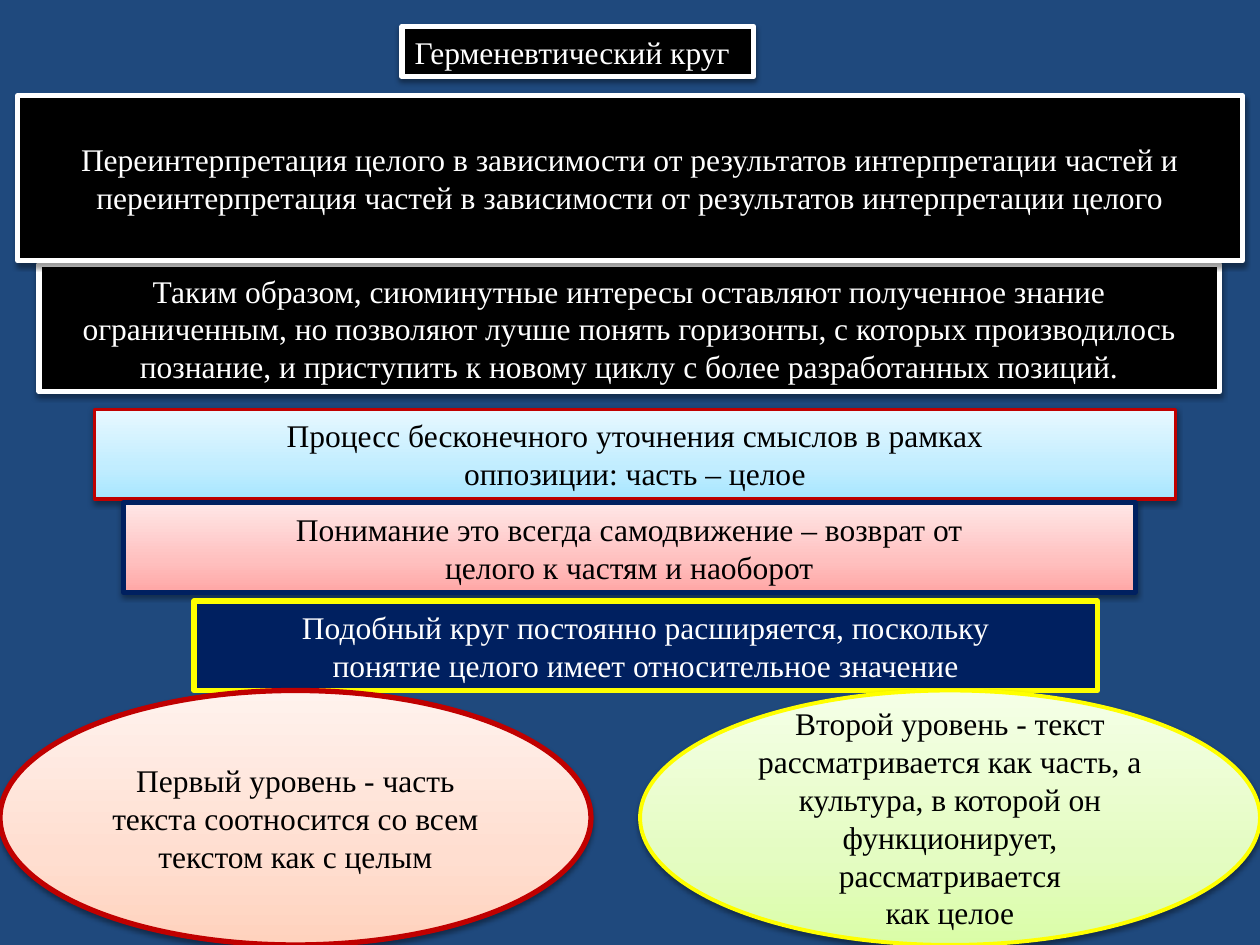
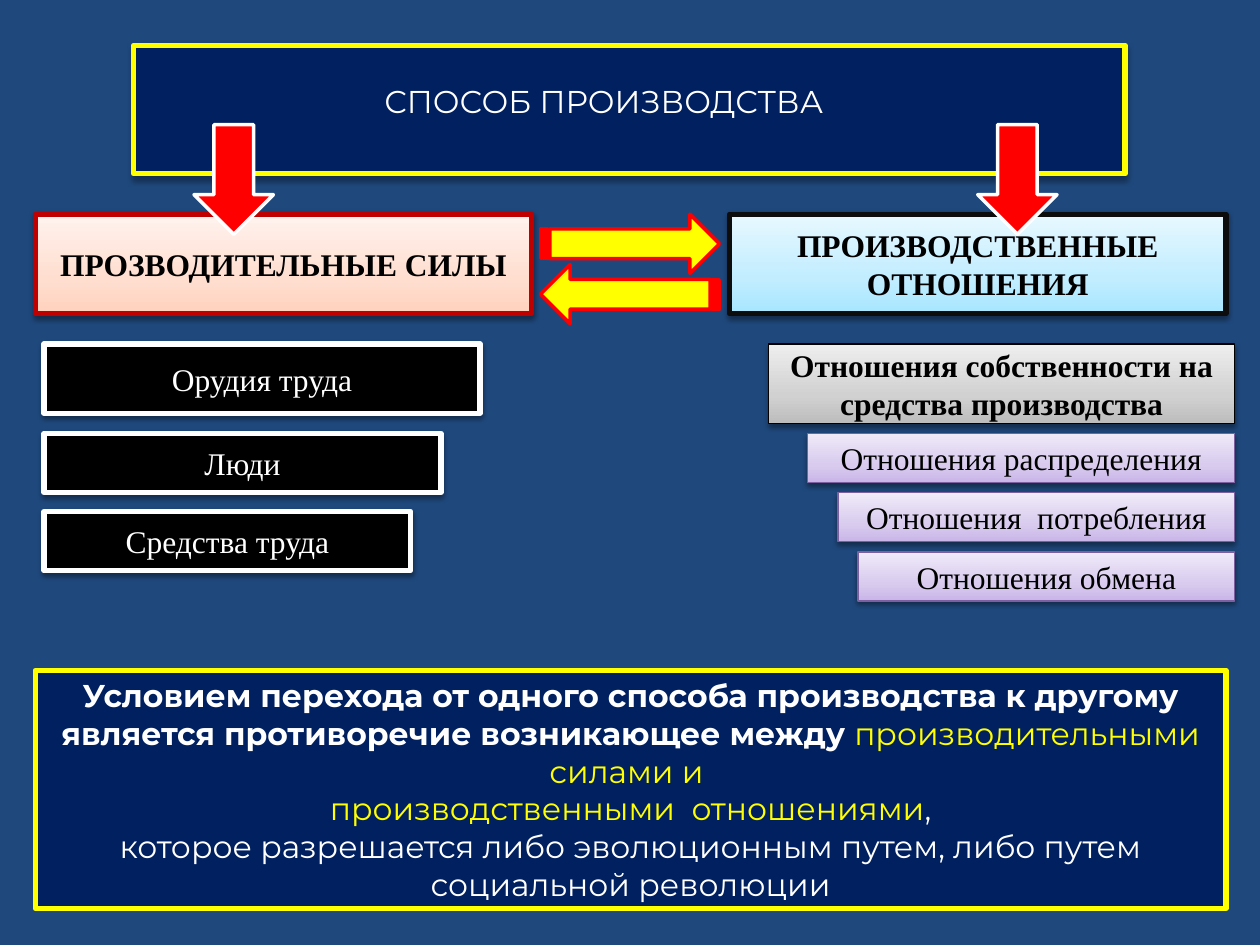
from copy import deepcopy

from lxml.etree import SubElement
from pptx import Presentation
from pptx.dml.color import RGBColor
from pptx.enum.shapes import MSO_SHAPE
from pptx.enum.text import MSO_ANCHOR, MSO_AUTO_SIZE, PP_ALIGN
from pptx.oxml.ns import qn
from pptx.util import Inches, Pt

BACKGROUND = RGBColor(0x1F, 0x49, 0x7D)
BLACK = RGBColor(0x00, 0x00, 0x00)
NEAR_BLACK = RGBColor(0x0D, 0x0D, 0x0D)
WHITE = RGBColor(0xFF, 0xFF, 0xFF)
NAVY = RGBColor(0x00, 0x20, 0x60)
YELLOW = RGBColor(0xFF, 0xFF, 0x00)
RED = RGBColor(0xFF, 0x00, 0x00)
DARK_RED = RGBColor(0xC0, 0x00, 0x00)
PURPLE = RGBColor(0x7D, 0x60, 0xA0)

# Gradients run from the bottom edge to the top edge.
GRADIENT_POSITIONS = (0, 0.35, 1)
BLUES = (RGBColor(0xA7, 0xE6, 0xFF), RGBColor(0xC1, 0xED, 0xFF), RGBColor(0xE7, 0xF8, 0xFF))
PINKS = (RGBColor(0xFF, 0xA6, 0xA5), RGBColor(0xFF, 0xC0, 0xBF), RGBColor(0xFF, 0xE7, 0xE7))
PEACHES = (RGBColor(0xFF, 0xD2, 0xBD), RGBColor(0xFF, 0xDE, 0xD0), RGBColor(0xFF, 0xF2, 0xED))
GREENS = (RGBColor(0xDA, 0xFD, 0xA7), RGBColor(0xE4, 0xFC, 0xC2), RGBColor(0xF5, 0xFF, 0xE7))
GREYS = (RGBColor(0xBD, 0xBD, 0xBD), RGBColor(0xD1, 0xD1, 0xD1), RGBColor(0xEE, 0xEE, 0xEE))
LILACS = (RGBColor(0xC9, 0xB5, 0xE8), RGBColor(0xD8, 0xCB, 0xEE), RGBColor(0xF0, 0xEA, 0xF9))

SERIF = "Times New Roman"
SANS = "Montserrat"
SOFT_SHADOW = (3.1, 1.6, 38)
DEEP_SHADOW = (3.5, 2.2, 32)


def paint(shape, fill, line, width, shadow=None):
    """Fill with one colour or a three-stop gradient; shadow is blur, distance, opacity."""
    if isinstance(fill, RGBColor):
        shape.fill.solid()
        shape.fill.fore_color.rgb = fill
    else:
        shape.fill.gradient()
        shape.fill.gradient_angle = 90
        stop_list = shape._element.spPr.find(".//" + qn("a:gsLst"))
        stop_list.insert(1, deepcopy(stop_list[0]))
        for stop, position, colour in zip(shape.fill.gradient_stops, GRADIENT_POSITIONS, fill):
            stop.position = position
            stop.color.rgb = colour
    shape.line.color.rgb = line
    shape.line.width = Pt(width)
    shape.shadow.inherit = False
    if shadow:
        blur, distance, opacity = shadow
        effects = shape._element.spPr.find(qn("a:effectLst"))
        outer = SubElement(effects, qn("a:outerShdw"), blurRad=str(Pt(blur)),
                           dist=str(Pt(distance)), dir="5400000", rotWithShape="0")
        black = SubElement(outer, qn("a:srgbClr"), val="000000")
        SubElement(black, qn("a:alpha"), val=str(opacity * 1000))


def write(shape, text, color, font=SERIF, bold=False, align=PP_ALIGN.CENTER):
    paragraph = shape.text_frame.paragraphs[0]
    paragraph.text = text
    paragraph.alignment = align
    for run in paragraph.runs:
        for name, value in {"name": font, "size": Pt(18), "bold": bold}.items():
            setattr(run.font, name, value)
        run.font.color.rgb = color


prs = Presentation()
prs.slide_width, prs.slide_height = Inches(10), Inches(7.5)
prs.slide_master.background.fill.solid()
prs.slide_master.background.fill.fore_color.rgb = BACKGROUND
title_only = prs.slide_layouts[5]
circle_slide = prs.slides.add_slide(title_only)
production_slide = prs.slides.add_slide(title_only)

# Titles
titles = [
    (circle_slide, "Герменевтический круг", SERIF, (3.19, 0.21, 2.79, 0.4),
     (BLACK, WHITE, 3, SOFT_SHADOW),
     {"word_wrap": False, "vertical_anchor": MSO_ANCHOR.TOP}),
    (production_slide, "СПОСОБ ПРОИЗВОДСТВА", SANS, (1.06, 0.36, 7.87, 1.02),
     (NAVY, YELLOW, 3, DEEP_SHADOW),
     {"word_wrap": True, "vertical_anchor": MSO_ANCHOR.TOP,
      "margin_left": Inches(1.99), "margin_top": Inches(0.29)}),
]
for slide, text, font, box, look, frame_format in titles:
    title = slide.shapes.title
    title.left, title.top, title.width, title.height = map(Inches, box)
    paint(title, *look)
    write(title, text, WHITE, font, align=PP_ALIGN.LEFT)
    title.text_frame.auto_size = MSO_AUTO_SIZE.NONE
    for name, value in frame_format.items():
        setattr(title.text_frame, name, value)

# Slide 1: the hermeneutic circle
RECT, OVAL = MSO_SHAPE.RECTANGLE, MSO_SHAPE.OVAL
theses = [
    (RECT, (0.31, 2.1, 9.37, 1.01), (BLACK, WHITE, 3, SOFT_SHADOW), WHITE,
     "Таким образом, сиюминутные интересы оставляют полученное знание ограниченным, "
     "но позволяют лучше понять горизонты, с которых производилось познание, "
     "и приступить к новому циклу с более разработанных позиций."),
    (RECT, (0.14, 0.76, 9.72, 1.31), (BLACK, WHITE, 3, SOFT_SHADOW), WHITE,
     "Переинтерпретация целого в зависимости от результатов интерпретации частей и "
     "переинтерпретация частей в зависимости от результатов интерпретации целого"),
    (RECT, (0.75, 3.25, 8.58, 0.71), (BLUES, DARK_RED, 2.25, SOFT_SHADOW), BLACK,
     "Процесс бесконечного уточнения смыслов в рамках\nоппозиции: часть – целое"),
    (RECT, (0.98, 3.99, 8.03, 0.71), (PINKS, NAVY, 3, SOFT_SHADOW), BLACK,
     "Понимание это всегда самодвижение – возврат от\nцелого к частям и наоборот"),
    (RECT, (1.54, 4.77, 7.17, 0.71), (NAVY, YELLOW, 3), WHITE,
     "Подобный круг постоянно расширяется, поскольку\n"
     "понятие целого имеет относительное значение"),
    (OVAL, (0, 5.48, 4.69, 2.02), (PEACHES, DARK_RED, 3, SOFT_SHADOW), BLACK,
     "Первый уровень - часть текста соотносится со всем\nтекстом как с целым"),
    (OVAL, (5.08, 5.48, 4.92, 2.02), (GREENS, YELLOW, 2.25, SOFT_SHADOW), BLACK,
     "Второй уровень - текст рассматривается как часть, а\n"
     "культура, в которой он функционирует, рассматривается\nкак целое"),
]
for outline, box, look, color, text in theses:
    thesis = circle_slide.shapes.add_shape(outline, *map(Inches, box))
    paint(thesis, *look)
    write(thesis, text, color)

# Slide 2: the two sides of the mode of production
sides = [
    (0.28, "ПРОЗВОДИТЕЛЬНЫЕ СИЛЫ", PEACHES, DARK_RED),
    (5.79, "ПРОИЗВОДСТВЕННЫЕ ОТНОШЕНИЯ", BLUES, NEAR_BLACK),
]
for left, text, fill, line in sides:
    side = production_slide.shapes.add_shape(
        RECT, Inches(left), Inches(1.7), Inches(3.94), Inches(0.79))
    paint(side, fill, line, 3, SOFT_SHADOW)
    write(side, text, BLACK, bold=True)

forces = [
    ("Орудия труда", 2.73, 3.46, 0.55),
    ("Люди", 3.44, 3.15, 0.47),
    ("Средства труда", 4.06, 2.91, 0.47),
]
for text, top, width, height in forces:
    force = production_slide.shapes.add_shape(
        RECT, Inches(0.35), Inches(top), Inches(width), Inches(height))
    paint(force, BLACK, WHITE, 3, SOFT_SHADOW)
    write(force, text, WHITE)

RELATIONS_RIGHT = 9.8
ownership = production_slide.shapes.add_shape(
    RECT, Inches(RELATIONS_RIGHT - 3.7), Inches(2.73), Inches(3.7), Inches(0.63))
paint(ownership, GREYS, BLACK, 0.75, SOFT_SHADOW)
write(ownership, "Отношения собственности на средства производства", BLACK, bold=True)

relations = [
    ("Отношения распределения", 3.39),
    ("Отношения  потребления", 3.15),
    ("Отношения обмена", 2.99),
]
for row, (text, width) in enumerate(relations):
    relation = production_slide.shapes.add_shape(
        RECT, Inches(RELATIONS_RIGHT - width), Inches(3.44 + 0.47 * row),
        Inches(width), Inches(0.39))
    paint(relation, LILACS, PURPLE, 0.75, SOFT_SHADOW)
    write(relation, text, BLACK)

for left in (1.54, 7.76):
    branch = production_slide.shapes.add_shape(
        MSO_SHAPE.DOWN_ARROW, Inches(left), Inches(0.99), Inches(0.63), Inches(0.87))
    paint(branch, RED, WHITE, 2)

for top, rotation in ((1.7, 0), (2.1, 180)):
    interaction = production_slide.shapes.add_shape(
        MSO_SHAPE.STRIPED_RIGHT_ARROW, Inches(4.29), Inches(top), Inches(1.42), Inches(0.47))
    interaction.rotation = rotation
    paint(interaction, YELLOW, RED, 2)

# Slide 2: the condition of transition
condition = production_slide.shapes.add_shape(
    RECT, Inches(0.28), Inches(5.32), Inches(9.45), Inches(1.89))
paint(condition, NAVY, YELLOW, 3)
condition_lines = [
    [("Условием перехода от одного способа производства к другому "
      "является противоречие возникающее между ", WHITE, True),
     ("производительными силами и ", YELLOW, False)],
    [("производственными  отношениями", YELLOW, False), (",", WHITE, False)],
    [("которое разрешается либо эволюционным путем, либо путем социальной революции",
      WHITE, False)],
]
for index, parts in enumerate(condition_lines):
    frame = condition.text_frame
    paragraph = frame.add_paragraph() if index else frame.paragraphs[0]
    paragraph.alignment = PP_ALIGN.CENTER
    for text, color, bold in parts:
        run = paragraph.add_run()
        run.text = text
        for name, value in {"name": SANS, "size": Pt(18), "bold": bold}.items():
            setattr(run.font, name, value)
        run.font.color.rgb = color

prs.save("out.pptx")
